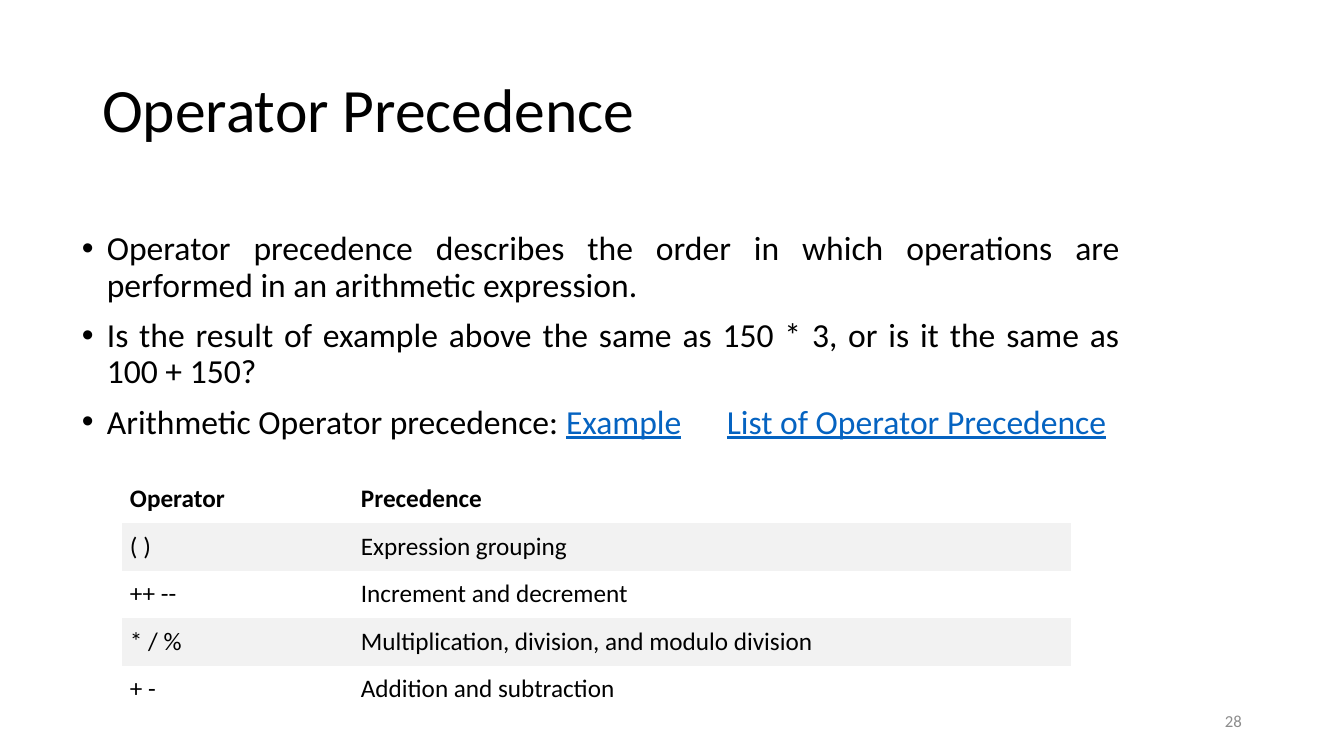
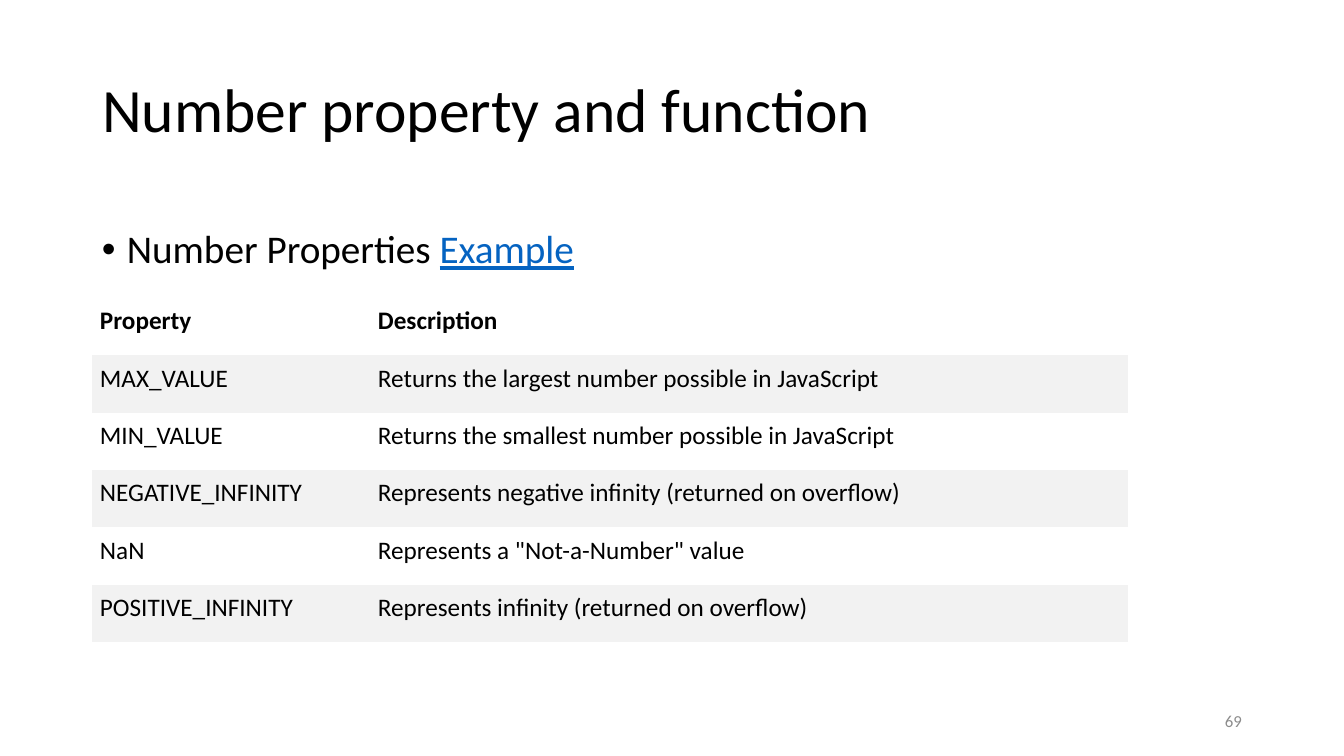
from dataclasses import dataclass

from lxml import etree
from pptx import Presentation
from pptx.dml.color import RGBColor
from pptx.enum.text import MSO_ANCHOR, MSO_AUTO_SIZE, PP_ALIGN
from pptx.oxml.ns import qn
from pptx.util import Pt

LEFT, RIGHT, JUSTIFY = PP_ALIGN.LEFT, PP_ALIGN.RIGHT, PP_ALIGN.JUSTIFY
TOP, MIDDLE = MSO_ANCHOR.TOP, MSO_ANCHOR.MIDDLE
NO_FIT = MSO_AUTO_SIZE.NONE
TITLE_ONLY = 5
PLAIN_TABLE_STYLE = "{2D5ABB26-0587-4C30-8999-92F81FD0307C}"
EMU_PER_PIXEL = 914400 / 100.8


@dataclass(frozen=True)
class Theme:
    """Colours, type sizes and spacing of the deck."""
    font: str = "Calibri"
    ink: str = "000000"
    link: str = "0563C1"
    muted: str = "8C8C8C"
    paper: str = "FFFFFF"
    band: str = "F2F2F2"
    title_size: int = 44
    table_size: int = 18
    number_size: int = 12
    line_spacing: float = 0.9
    bullet_gap: int = 10
    link_gap: int = 27
    bullet_indent: int = 25
    cell_inset: int = 8


THEME = Theme()
SLIDE_SIZE = (1344, 756)
TITLE_BOX = (92, 40, 1159, 146)
NUMBER_BOX = (950, 701, 302, 40)


def px(length):
    """Turn picture pixels into EMU."""
    return round(length * EMU_PER_PIXEL)


def apply(target, **values):
    """Set each named attribute of the target."""
    for name, value in values.items():
        setattr(target, name, value)


def add_run(paragraph, text, size, color=THEME.ink, **style):
    """Append a run in the deck font."""
    run = paragraph.add_run()
    run.text = text
    apply(run.font, name=THEME.font, size=Pt(size), **style)
    run.font.color.rgb = RGBColor.from_string(color)
    return run


def add_text_frame(slide, box, anchor=TOP):
    """Add a wrapping text box and return its frame."""
    frame = slide.shapes.add_textbox(*map(px, box)).text_frame
    apply(frame, word_wrap=True, auto_size=NO_FIT, vertical_anchor=anchor)
    return frame


def add_title(slide, text, box=TITLE_BOX):
    """Place and format the title placeholder."""
    title = slide.shapes.title
    apply(title, **dict(zip(("left", "top", "width", "height"), map(px, box))))
    frame = title.text_frame
    apply(frame, word_wrap=True, auto_size=NO_FIT, vertical_anchor=MIDDLE)
    paragraph = frame.paragraphs[0]
    apply(paragraph, alignment=LEFT, line_spacing=THEME.line_spacing)
    add_run(paragraph, text, THEME.title_size)


def add_page_number(slide, number, box=NUMBER_BOX):
    """Write the page number at the right of its box."""
    paragraph = add_text_frame(slide, box, MIDDLE).paragraphs[0]
    paragraph.alignment = RIGHT
    add_run(paragraph, str(number), THEME.number_size, THEME.muted)


def set_bullet(paragraph):
    """Give the paragraph a hanging round bullet."""
    properties = paragraph._p.get_or_add_pPr()
    indent = px(THEME.bullet_indent)
    properties.set("marL", str(indent))
    properties.set("indent", str(-indent))
    etree.SubElement(properties, qn("a:buFont")).set("typeface", "Arial")
    etree.SubElement(properties, qn("a:buChar")).set("char", "•")


def add_bullets(slide, box, bullets, size, alignment):
    """Write bullets, each a lead text followed by underlined references."""
    frame = add_text_frame(slide, box)
    for index, (lead, *references) in enumerate(bullets):
        paragraph = frame.add_paragraph() if index else frame.paragraphs[0]
        apply(paragraph, alignment=alignment, line_spacing=THEME.line_spacing,
              space_before=Pt(THEME.bullet_gap))
        set_bullet(paragraph)
        add_run(paragraph, lead, size)
        for position, reference in enumerate(references):
            if position:
                gap = add_run(paragraph, " ", size)
                gap.font._element.set("spc", str(THEME.link_gap * 100))
            add_run(paragraph, reference, size, THEME.link, underline=True)


def add_banded_table(slide, box, first_width, rows):
    """Fill the box with a two-column table of equal, banded rows."""
    left, top, width, height = box
    table = slide.shapes.add_table(len(rows), 2, *map(px, box)).table
    table._tbl.tblPr.find(qn("a:tableStyleId")).text = PLAIN_TABLE_STYLE
    apply(table, first_row=False, horz_banding=False)
    for column, column_width in zip(table.columns, (first_width, width - first_width)):
        column.width = px(column_width)
    inset = px(THEME.cell_inset)
    for index, texts in enumerate(rows):
        table.rows[index].height = px(height / len(rows))
        for cell, text in zip(table.rows[index].cells, texts):
            apply(cell, margin_left=inset, margin_right=inset,
                  margin_top=inset, margin_bottom=inset)
            cell.fill.solid()
            cell.fill.fore_color.rgb = RGBColor.from_string(
                THEME.band if index % 2 else THEME.paper)
            add_run(cell.text_frame.paragraphs[0], text, THEME.table_size,
                    bold=index == 0)


def add_table_slide(deck, title, number, bullets, table):
    """Build a slide of title, bullets, banded table and page number."""
    slide = deck.slides.add_slide(deck.slide_layouts[TITLE_ONLY])
    add_title(slide, title)
    add_bullets(slide, **bullets)
    add_banded_table(slide, **table)
    add_page_number(slide, number)


SLIDES = [
    dict(
        title="Operator Precedence",
        number=28,
        bullets=dict(box=(72, 227, 1058, 504), size=24, alignment=JUSTIFY, bullets=[
            ("Operator precedence describes the order in which operations are "
             "performed in an arithmetic expression.",),
            ("Is the result of example above the same as 150 * 3, or is it the "
             "same as 100 + 150?",),
            ("Arithmetic Operator precedence: ", "Example",
             "List of Operator Precedence"),
        ]),
        table=dict(box=(122, 476, 949, 237), first_width=231, rows=[
            ("Operator", "Precedence"),
            ("( )", "Expression grouping"),
            ("++ --", "Increment and decrement"),
            ("* / %", "Multiplication, division, and modulo division"),
            ("+ -", "Addition and subtraction"),
        ]),
    ),
    dict(
        title="Number property and function",
        number=69,
        bullets=dict(box=(92, 225, 1159, 463), size=28, alignment=LEFT, bullets=[
            ("Number Properties ", "Example"),
        ]),
        table=dict(box=(92, 298, 1036, 344), first_width=278, rows=[
            ("Property", "Description"),
            ("MAX_VALUE", "Returns the largest number possible in JavaScript"),
            ("MIN_VALUE", "Returns the smallest number possible in JavaScript"),
            ("NEGATIVE_INFINITY", "Represents negative infinity (returned on overflow)"),
            ("NaN", 'Represents a "Not-a-Number" value'),
            ("POSITIVE_INFINITY", "Represents infinity (returned on overflow)"),
        ]),
    ),
]


def main():
    """Build and save the deck."""
    deck = Presentation()
    apply(deck, **dict(zip(("slide_width", "slide_height"), map(px, SLIDE_SIZE))))
    for content in SLIDES:
        add_table_slide(deck, **content)
    deck.save("out.pptx")


main()
